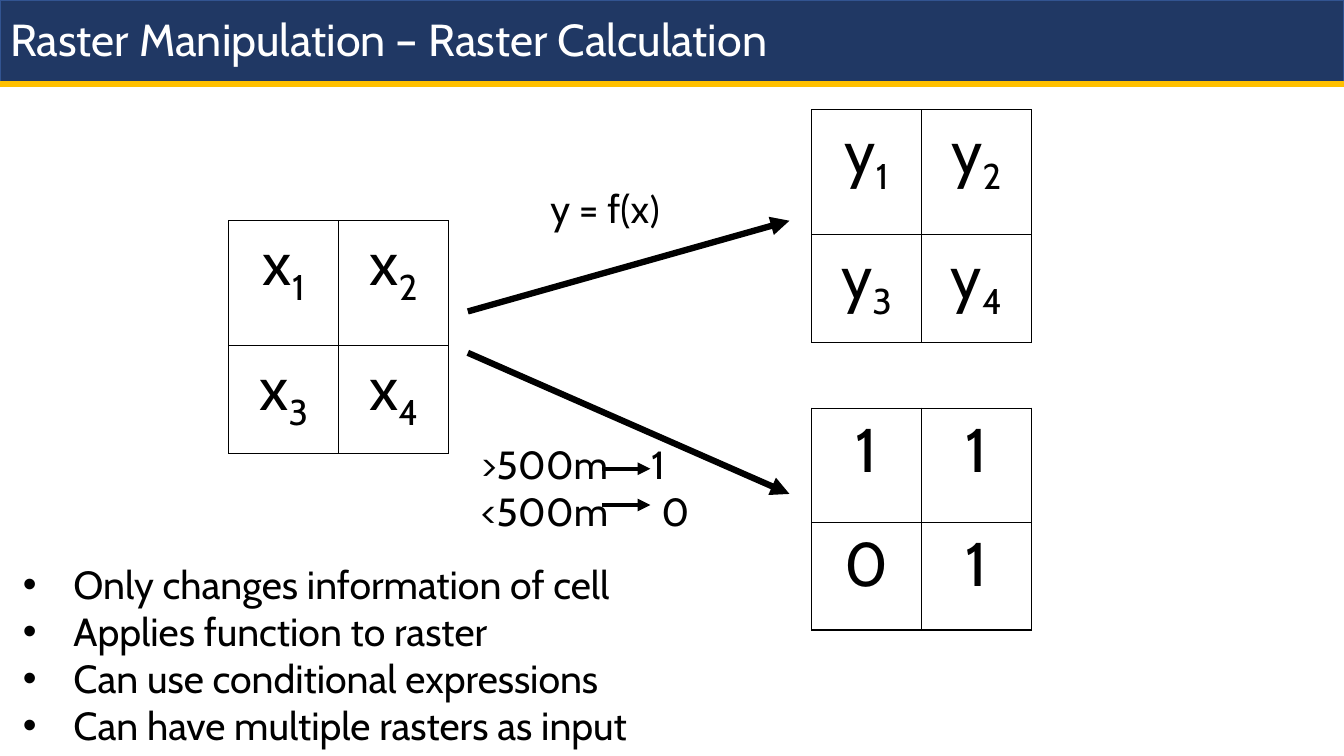
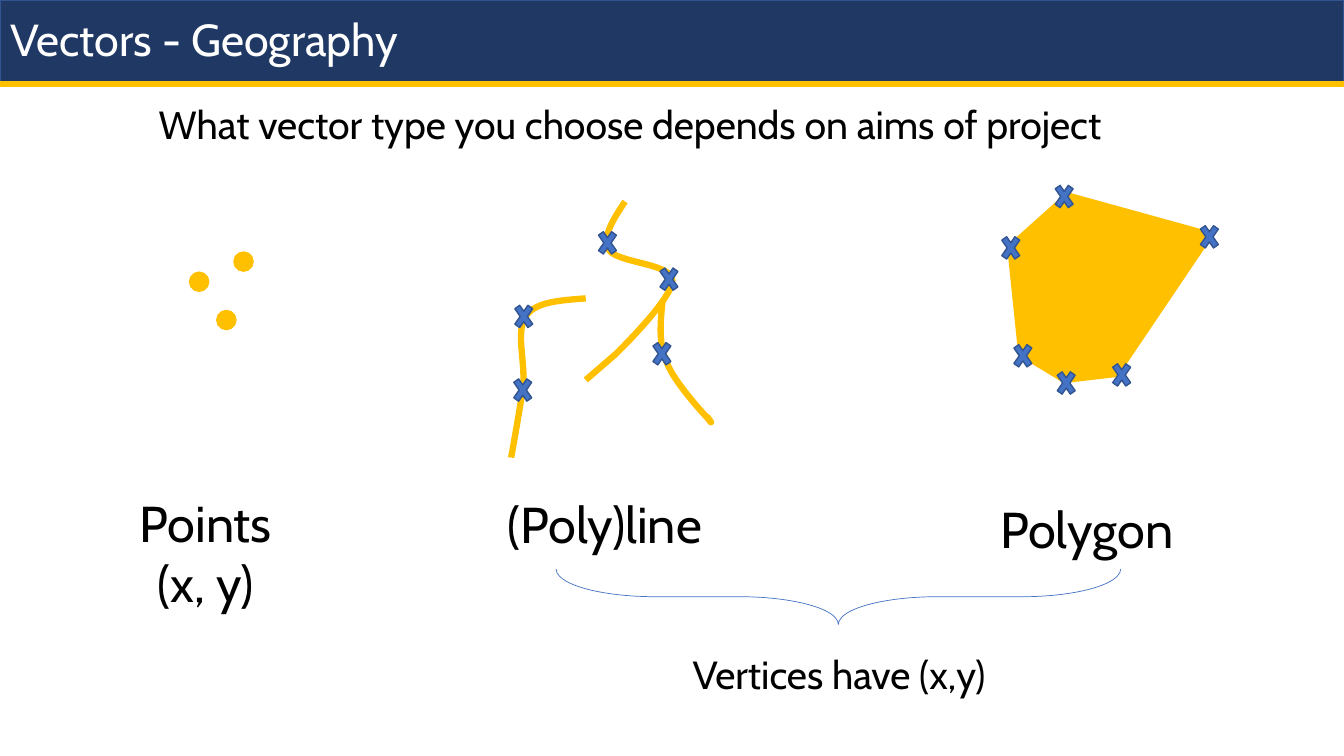
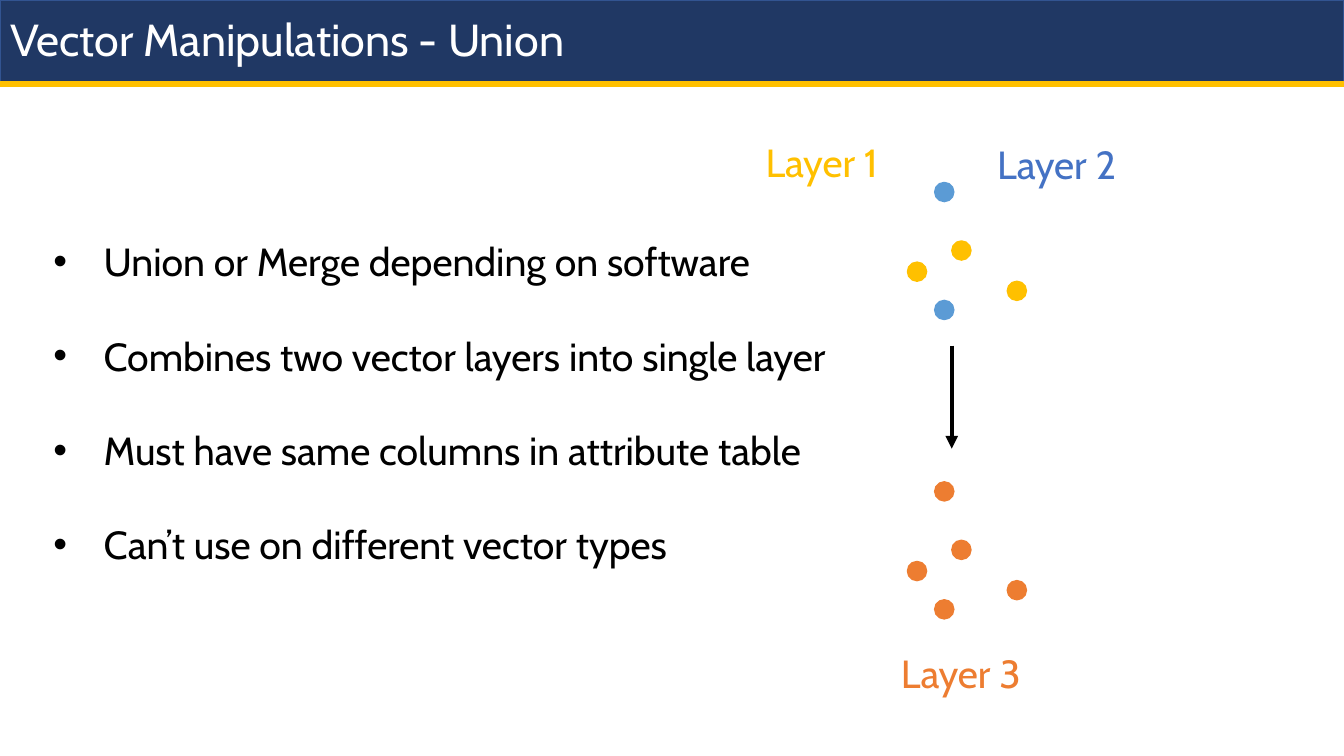
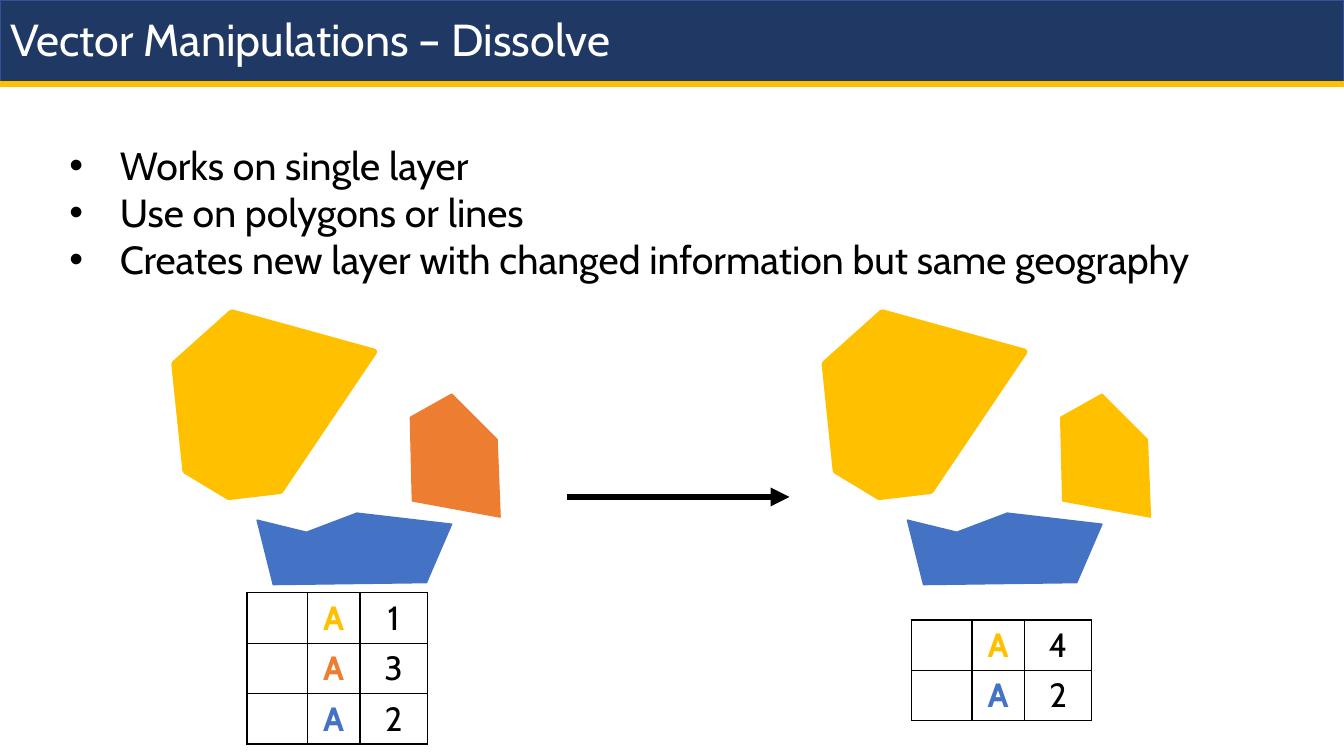
from lxml.etree import SubElement
from pptx import Presentation
from pptx.dml.color import RGBColor
from pptx.enum.shapes import MSO_CONNECTOR, MSO_SHAPE
from pptx.enum.text import MSO_ANCHOR, MSO_AUTO_SIZE, PP_ALIGN
from pptx.oxml.ns import qn
from pptx.util import Inches, Pt

NAVY, NAVY_EDGE = "203864", "325491"
GOLD, BLUE, SKY, ORANGE = "FFC000", "4472C4", "5B9BD5", "ED7D31"
BLACK, WHITE = "000000", "FFFFFF"

FIELD = [(0.57, 0), (0, 0.51), (0.11, 1.57), (0.54, 1.83), (1.05, 1.77), (1.98, 0.39)]
HOUSE = [(0, 0.23), (0.41, 0), (0.86, 0.45), (0.89, 1.22), (0.02, 1.06)]
BASIN = [(0, 0.07), (0.49, 0.19), (0.99, 0), (1.93, 0.11), (1.68, 0.69), (0.16, 0.71)]


def rgb(color):
    return RGBColor.from_string(color)


def apply(target, values):
    for name, value in values.items():
        setattr(target, name, value)


def curve(start, *segments, steps=12):
    points = [start]
    for first, second, end in segments:
        origin = points[-1]
        for step in range(1, steps + 1):
            t = step / steps
            weights = ((1 - t) ** 3, 3 * t * (1 - t) ** 2, 3 * t * t * (1 - t), t ** 3)
            controls = (origin, first, second, end)
            points.append(tuple(sum(w * c[axis] for w, c in zip(weights, controls)) for axis in (0, 1)))
    return points


class Deck:
    font = "Cabin"
    width, height = 13.33, 7.5
    band_height = 0.83
    dot_size = 0.19
    cross_size = (0.25, 0.36)

    def __init__(self):
        self.presentation = Presentation()
        apply(self.presentation, {"slide_width": Inches(self.width), "slide_height": Inches(self.height)})
        self.slide = None

    def new_slide(self, text):
        self.slide = self.presentation.slides.add_slide(self.presentation.slide_layouts[5])
        title = self.slide.shapes.title
        band = self.shape(MSO_SHAPE.RECTANGLE, 0, 0, self.width, self.band_height, NAVY, NAVY_EDGE)
        title._element.addprevious(band._element)
        apply(title, {"left": 0, "top": Inches(0.09), "width": Inches(self.width), "height": Inches(0.65)})
        apply(title.text_frame, {"word_wrap": True, "auto_size": MSO_AUTO_SIZE.NONE,
                                 "vertical_anchor": MSO_ANCHOR.MIDDLE})
        paragraph = title.text_frame.paragraphs[0]
        self.add_runs(paragraph, text, 32, WHITE)
        paragraph.line_spacing = 0.9
        self.line((0, self.band_height), (self.width, self.band_height), GOLD)

    def add_runs(self, paragraph, runs, size=28, color=BLACK, align=PP_ALIGN.LEFT, bold=False):
        paragraph.alignment = align
        for text, changes in [(runs, {})] if isinstance(runs, str) else runs:
            run = paragraph.add_run()
            run.text = text
            apply(run.font, {"name": changes.get("name", self.font), "size": Pt(size), "bold": bold})
            run.font.color.rgb = rgb(color)
            if "baseline" in changes:
                run._r.get_or_add_rPr().set("baseline", changes["baseline"])

    def text(self, left, top, width, height, paragraphs, tabs=(), bullets=False, gap=0, **style):
        box = self.slide.shapes.add_textbox(*map(Inches, (left, top, width, height)))
        frame = box.text_frame
        frame.word_wrap = True
        for index, runs in enumerate(paragraphs):
            paragraph = frame.add_paragraph() if index else frame.paragraphs[0]
            properties = paragraph._p.get_or_add_pPr()
            if bullets:
                properties.set("marL", str(Inches(0.5)))
                properties.set("indent", str(Inches(-0.5)))
                SubElement(properties, qn("a:buFont"), typeface="Arial")
                SubElement(properties, qn("a:buChar"), char="•")
            if tabs:
                stops = SubElement(properties, qn("a:tabLst"))
                SubElement(stops, qn("a:tab"), pos=str(Inches(tabs[index])), algn="l")
            if index and gap:
                paragraph.space_before = Pt(gap)
            self.add_runs(paragraph, runs, **style)

    def caption(self, left, top, width, height, *paragraphs, **style):
        self.text(left, top, width, height, paragraphs, align=PP_ALIGN.CENTER, **style)

    def paint(self, shape, fill, line, weight):
        shape.shadow.inherit = False
        if fill:
            shape.fill.solid()
            shape.fill.fore_color.rgb = rgb(fill)
        else:
            shape.fill.background()
        shape.line.color.rgb = rgb(line)
        shape.line.width = Pt(weight)
        return shape

    def shape(self, kind, left, top, width, height, fill, line, weight=1):
        shape = self.slide.shapes.add_shape(kind, *map(Inches, (left, top, width, height)))
        return self.paint(shape, fill, line, weight)

    def dots(self, places, color, drop=0):
        for left, top in places:
            self.shape(MSO_SHAPE.OVAL, left, top + drop, self.dot_size, self.dot_size, color, color)

    def crosses(self, places):
        for left, top in places:
            self.shape(MSO_SHAPE.MATH_MULTIPLY, left, top, *self.cross_size, BLUE, NAVY_EDGE)

    def outline(self, points, color, left=0, top=0, weight=4.5, closed=True):
        places = [(Inches(left + x), Inches(top + y)) for x, y in points]
        builder = self.slide.shapes.build_freeform(*places[0])
        builder.add_line_segments(places[1:], close=closed)
        self.paint(builder.convert_to_shape(), color if closed else None, color, weight)

    def line(self, start, end, color=BLACK, weight=4.5, arrow=False):
        connector = self.slide.shapes.add_connector(MSO_CONNECTOR.STRAIGHT, *map(Inches, start + end))
        connector.line.color.rgb = rgb(color)
        connector.line.width = Pt(weight)
        SubElement(connector._element.spPr, qn("a:effectLst"))
        if arrow:
            SubElement(connector.line._get_or_add_ln(), qn("a:tailEnd"), type="triangle")

    def arrow(self, start, end, weight=4.5):
        self.line(start, end, weight=weight, arrow=True)

    def table(self, left, top, columns, rows, cells):
        frame = self.slide.shapes.add_table(
            len(rows), len(columns), *map(Inches, (left, top, sum(columns), sum(rows))))
        table = frame.table
        apply(table, {"first_row": False, "horz_banding": False})
        for column, width in zip(table.columns, columns):
            column.width = Inches(width)
        for row, height, contents in zip(table.rows, rows, cells):
            row.height = Inches(height)
            for cell, content in zip(row.cells, contents):
                self.border(cell)
                if content:
                    self.add_runs(cell.text_frame.paragraphs[0], align=PP_ALIGN.CENTER, **content)

    def border(self, cell):
        properties = cell._tc.get_or_add_tcPr()
        for side in "LRTB":
            edge = SubElement(properties, qn(f"a:ln{side}"), w=str(Pt(1)))
            SubElement(SubElement(edge, qn("a:solidFill")), qn("a:srgbClr"), val=BLACK)
        cell.fill.background()

    def raster(self, left, top, first_row, values):
        cells = [{"runs": value, "size": 44} for value in values]
        self.table(left, top, (1.09, 1.09), (first_row, 1.07), (cells[:2], cells[2:]))

    def attributes(self, left, top, records):
        cells = [(None, {"runs": "A", "size": 24, "color": color, "bold": True}, {"runs": value, "size": 24})
                 for color, value in records]
        self.table(left, top, (0.6, 0.52, 0.67), [0.5] * len(cells), cells)


def indexed(letter):
    return [[(letter, {}), (str(number), {"baseline": "-25000"})] for number in range(1, 5)]


def raster_calculation(deck):
    deck.new_slide("Raster Manipulation – Raster Calculation")
    deck.text(0.13, 5.51, 6.54, 1.99, [
        "Only changes information of cell", "Applies function to raster",
        "Can use conditional expressions", "Can have multiple rasters as input"], bullets=True)
    deck.raster(2.27, 2.19, 1.24, indexed("x"))
    deck.raster(8.05, 1.09, 1.24, indexed("y"))
    deck.raster(8.05, 4.05, 1.13, "1101")
    deck.arrow((4.64, 3.09), (7.83, 2.19))
    deck.arrow((4.64, 3.5), (7.83, 4.9))
    deck.text(5.36, 1.78, 1.75, 0.57, [[("y = f(x", {}), (")", {"name": "Calibri"})]])
    deck.text(4.67, 4.32, 2.38, 1.04, [">500m\t1", "<500m\t0"], tabs=(1.69, 1.79))
    for height in (4.65, 5.01):
        deck.arrow((5.97, height), (6.45, height), 3)


def vector_geography(deck):
    deck.new_slide("Vectors - Geography")
    deck.dots([(2.32, 2.5), (1.88, 2.7), (2.15, 3.08)], GOLD)
    rivers = [
        curve((6.2, 2), ((6.08, 2.18), (5.97, 2.35), (6.04, 2.48)),
              ((6.12, 2.61), (6.66, 2.61), (6.67, 2.78)),
              ((6.68, 2.96), (6.1, 3.52), (6.1, 3.52))) + [(5.81, 3.77)],
        curve((5.81, 2.96), ((5.57, 2.98), (5.32, 2.99), (5.22, 3.13)),
              ((5.11, 3.28), (5.21, 3.58), (5.19, 3.82)),
              ((5.16, 4.05), (5.07, 4.54), (5.07, 4.54))),
        curve((6.57, 3), ((6.55, 3.2), (6.53, 3.4), (6.61, 3.59)),
              ((6.68, 3.79), (7.01, 4.14), (7.01, 4.14)),
              ((7.08, 4.23), (7.05, 4.18), (7.01, 4.13)))]
    for river in rivers:
        deck.outline(river, GOLD, closed=False)
    deck.outline(FIELD, GOLD, 10.02, 1.94)
    deck.caption(0.77, 4.83, 2.54, 1.31, "Points", "(x, y)", size=36)
    deck.caption(4.73, 4.84, 2.54, 0.71, "(Poly)line", size=36)
    deck.caption(9.51, 4.89, 2.54, 0.71, "Polygon", size=36)
    deck.caption(0.12, 0.95, 12.25, 0.57, "What vector type you choose depends on aims of project")
    deck.crosses([(9.9, 2.28), (10.43, 1.77), (11.87, 2.17), (11, 3.54), (10.45, 3.62), (10.02, 3.35),
                  (6.51, 2.59), (5.9, 2.23), (6.44, 3.33), (5.07, 2.96), (5.06, 3.69)])
    brace = deck.shape(MSO_SHAPE.RIGHT_BRACE, 8.04, 3.12, 0.55, 5.6, None, BLUE, 0.5)
    brace.rotation = 90
    brace.adjustments[0] = 1.785
    deck.text(6.77, 6.4, 3.38, 0.57, ["Vertices have (x,y)"])


def vector_union(deck):
    deck.new_slide("Vector Manipulations - Union")
    deck.text(0.43, 2.31, 8.28, 3.87, [
        "Union or Merge depending on software", "Combines two vector layers into single layer",
        "Must have same columns in attribute table", "Can’t use on different vector types"],
        bullets=True, gap=33.6)
    first_layer = [(9.44, 2.39), (9, 2.6), (9.99, 2.79)]
    second_layer = [(9.27, 2.98), (9.27, 1.81)]
    deck.dots(first_layer, GOLD)
    deck.dots(second_layer, SKY)
    deck.dots(first_layer + second_layer, ORANGE, drop=2.97)
    deck.arrow((9.44, 3.43), (9.44, 4.45), 3)
    for left, top, name, color in ((8.05, 6.39, "Layer 3", ORANGE), (6.67, 1.32, "Layer 1", GOLD),
                                   (9, 1.34, "Layer 2", BLUE)):
        deck.caption(left, top, 2.96, 0.57, name, color=color)


def vector_dissolve(deck):
    deck.new_slide("Vector Manipulations – Dissolve")
    deck.text(0.59, 1.35, 12.13, 1.51, [
        "Works on single layer", "Use on polygons or lines",
        "Creates new layer with changed information but same geography"], bullets=True)
    for shift, house_color in ((0, ORANGE), (6.45, GOLD)):
        deck.outline(FIELD, GOLD, 1.73 + shift, 3.1)
        deck.outline(HOUSE, house_color, 4.07 + shift, 3.91, 1)
        deck.outline(BASIN, BLUE, 2.55 + shift, 5.09, 1)
    deck.attributes(2.45, 5.88, [(GOLD, "1"), (ORANGE, "3"), (BLUE, "2")])
    deck.attributes(9.04, 6.15, [(GOLD, "4"), (BLUE, "2")])
    deck.arrow((5.62, 4.93), (7.83, 4.93))


def main():
    deck = Deck()
    for build in (raster_calculation, vector_geography, vector_union, vector_dissolve):
        build(deck)
    deck.presentation.save("out.pptx")


if __name__ == "__main__":
    main()
